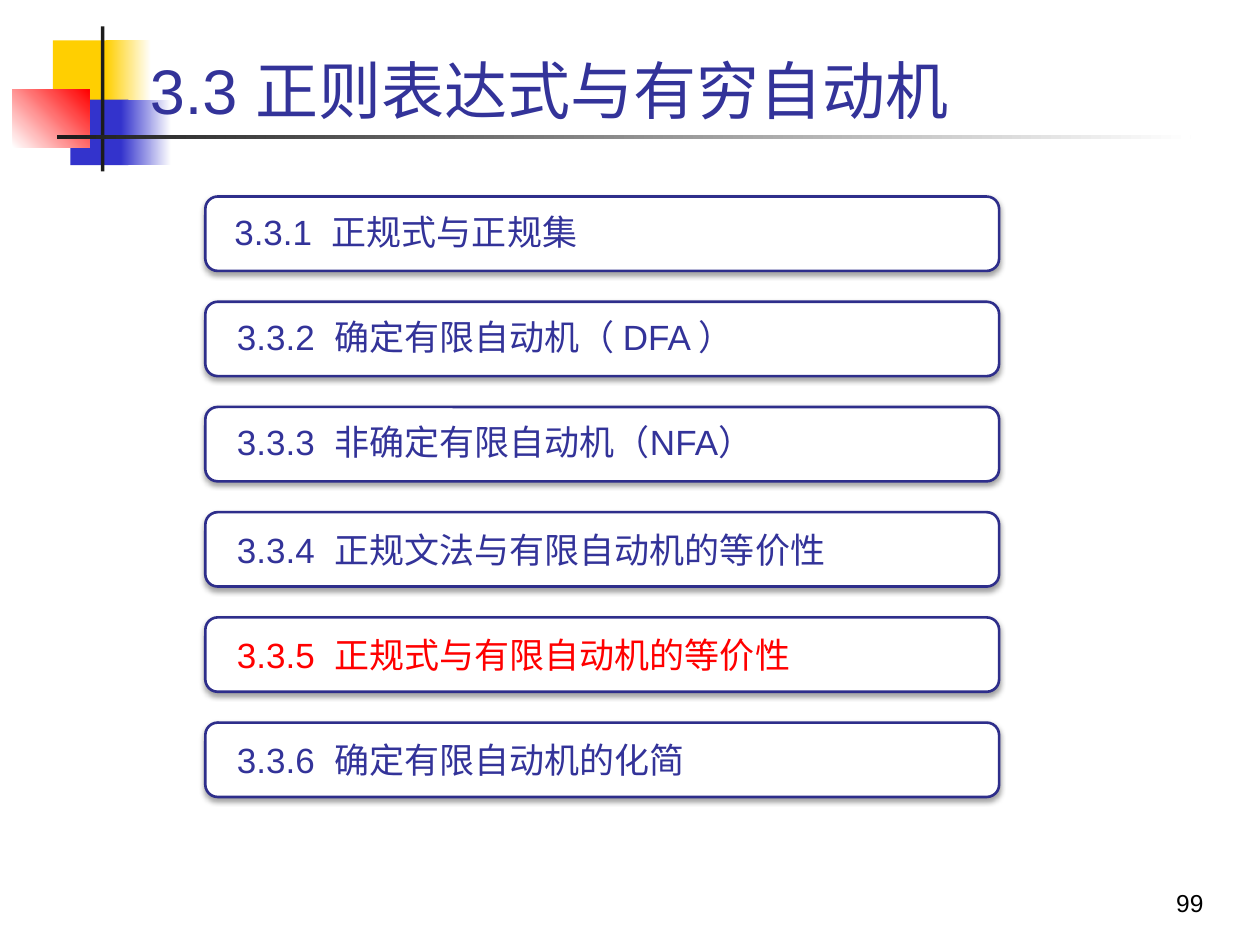
from lxml import etree
from pptx import Presentation
from pptx.dml.color import RGBColor
from pptx.enum.shapes import MSO_SHAPE
from pptx.enum.text import MSO_ANCHOR, PP_ALIGN
from pptx.oxml.ns import qn
from pptx.util import Inches, Pt

RECT = MSO_SHAPE.RECTANGLE
ROUNDED = MSO_SHAPE.ROUNDED_RECTANGLE
MIDDLE, BOTTOM = MSO_ANCHOR.MIDDLE, MSO_ANCHOR.BOTTOM
LEFT, RIGHT = PP_ALIGN.LEFT, PP_ALIGN.RIGHT

INK, ACCENT, BORDER = "333399", "FF0000", "2E2E8B"
YELLOW, BLUE, DARK, WHITE = "FFCF01", "3333CC", "1C1C1C", "FFFFFF"

LIST_LEFT, LIST_TOP, ROW_PITCH = 1.63, 1.56, 0.835
ROW_WIDTH, ROW_HEIGHT = 6.3, 0.59

TIGHT = {"line_spacing": 0.9, "space_after": 7}
SECTIONS = [
    ("3.3.1  正规式与正规集", 0.03, INK, TIGHT),
    ("3.3.2  确定有限自动机（ DFA ）", 0.05, INK, TIGHT),
    ("3.3.3  非确定有限自动机（NFA）", 0.05, INK, TIGHT),
    ("3.3.4  正规文法与有限自动机的等价性", 0.05, INK, {}),
    ("3.3.5  正规式与有限自动机的等价性", 0.05, ACCENT, {}),
    ("3.3.6  确定有限自动机的化简", 0.05, INK, {}),
]

ORNAMENTS = [
    ((0.42, 0.32, 0.48, 0.52), (YELLOW,), 0),
    ((0.84, 0.32, 0.36, 0.52), (YELLOW, WHITE), 0),
    ((0.56, 0.79, 0.46, 0.52), (BLUE,), 0),
    ((0.96, 0.79, 0.4, 0.52), (BLUE, WHITE), 0),
    ((0.1, 0.71, 0.61, 0.46), (WHITE, ACCENT), 45),
    ((0.8, 0.21, 0.03, 1.15), (DARK,), 0),
    ((0.45, 1.07, 9, 0.03), (DARK, WHITE), 0),
]


def rgb(code):
    return RGBColor.from_string(code)


def inches(place):
    return [Inches(length) for length in place]


def write(holder, words, *, size, color=INK, align=LEFT, anchor=MIDDLE,
          margins=(0.1, 0.05, 0.1, 0.05), line_spacing=None, space_after=None):
    frame = holder.text_frame
    frame.word_wrap = True
    frame.vertical_anchor = anchor
    (frame.margin_left, frame.margin_top,
     frame.margin_right, frame.margin_bottom) = inches(margins)
    paragraph = frame.paragraphs[0]
    paragraph.alignment = align
    if line_spacing:
        paragraph.line_spacing = line_spacing
    if space_after:
        paragraph.space_after = Pt(space_after)
    run = paragraph.add_run()
    run.text = words
    run.font.name = "Arial"
    run.font.size = Pt(size)
    run.font.color.rgb = rgb(color)


def add_block(shapes, kind, place, colors, angle=0):
    block = shapes.add_shape(kind, *inches(place))
    block.shadow.inherit = False
    block.line.fill.background()
    if len(colors) == 1:
        block.fill.solid()
        block.fill.fore_color.rgb = rgb(colors[0])
    else:
        block.fill.gradient()
        block.fill.gradient_angle = angle
        for stop, color in zip(block.fill.gradient_stops, colors):
            stop.color.rgb = rgb(color)
    return block


def drop_shadow(block):
    effects = block._element.spPr.find(qn("a:effectLst"))
    shadow = etree.SubElement(
        effects, qn("a:outerShdw"), blurRad=str(Pt(3.1)), dist=str(Pt(1.6)),
        dir="5400000", algn="t", rotWithShape="0")
    tone = etree.SubElement(shadow, qn("a:srgbClr"), val="000000")
    etree.SubElement(tone, qn("a:alpha"), val="38000")


def add_section(slide, row, words, indent, color, spacing):
    section = slide.shapes.add_group_shape().shapes
    top = LIST_TOP + row * ROW_PITCH
    panel = add_block(section, ROUNDED,
                      (LIST_LEFT, top, ROW_WIDTH, ROW_HEIGHT), (WHITE,))
    panel.line.color.rgb = rgb(BORDER)
    panel.line.width = Pt(1.5)
    drop_shadow(panel)
    label = section.add_textbox(*inches((
        LIST_LEFT + indent, top + 0.03,
        ROW_WIDTH - 0.04 - indent, ROW_HEIGHT - 0.06)))
    write(label, words, size=20, color=color,
          margins=(0.2, 0, 0.2, 0), **spacing)


def add_title(slide, words):
    title = slide.shapes.title
    title.left, title.top, title.width, title.height = inches(
        (1.09, 0.22, 8.52, 0.84))
    write(title, words, size=36, anchor=BOTTOM)
    slide.shapes._spTree.append(title._element)


def add_page_number(slide, number):
    page = slide.shapes.add_textbox(*inches((7.57, 6.83, 2.08, 0.5)))
    write(page, number, size=14, color="000000", align=RIGHT, anchor=BOTTOM)


def main():
    deck = Presentation()
    deck.slide_width, deck.slide_height = Inches(10), Inches(7.5)
    slide = deck.slides.add_slide(deck.slide_layouts[5])
    for place, colors, angle in ORNAMENTS:
        add_block(slide.shapes, RECT, place, colors, angle)
    add_title(slide, "3.3 正则表达式与有穷自动机")
    add_page_number(slide, "99")
    for row, section in enumerate(SECTIONS):
        add_section(slide, row, *section)
    deck.save("out.pptx")


if __name__ == "__main__":
    main()
